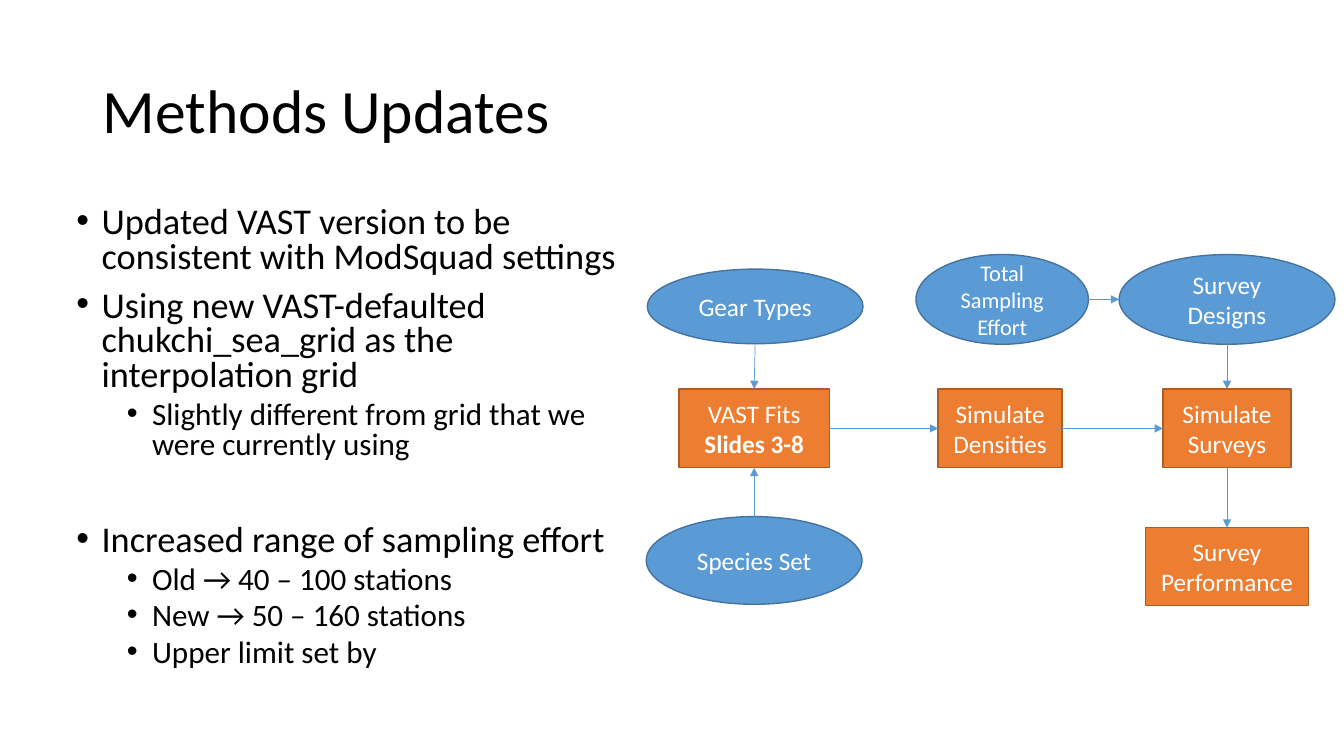
from lxml import etree
from pptx import Presentation
from pptx.dml.color import RGBColor
from pptx.enum.shapes import MSO_CONNECTOR, MSO_SHAPE
from pptx.enum.text import MSO_ANCHOR, PP_ALIGN
from pptx.oxml.ns import qn
from pptx.util import Inches, Pt

RECT, OVAL = MSO_SHAPE.RECTANGLE, MSO_SHAPE.OVAL
LINE = MSO_CONNECTOR.STRAIGHT
MIDDLE, CENTER, LEFT = MSO_ANCHOR.MIDDLE, PP_ALIGN.CENTER, PP_ALIGN.LEFT
TOP, WEST, BOTTOM, EAST = range(4)
FONT = "Calibri"
PAINT = {RECT: ("ED7D31", "AF5C24"), OVAL: ("5B9BD5", "43739E")}

POINTS = [
    (0, "Updated VAST version to be consistent with ModSquad settings", 10),
    (0, "Using new VAST-defaulted chukchi_sea_grid as the interpolation grid", 10),
    (1, "Slightly different from grid that we were currently using", 5),
    (0, "Increased range of sampling effort", 45),
    (1, "Old → 40 – 100 stations", 5),
    (1, "New → 50 – 160 stations", 5),
    (1, "Upper limit set by", 5),
]

NODES = {
    "gear": (OVAL, 1.08, 0.52, 2.14, 0.74, "Gear Types", 18),
    "species": (OVAL, 1.07, 3.04, 2.14, 0.87, "Species Set", 18),
    "effort": (OVAL, 3.53, 0.45, 1.71, 0.89, "Total Sampling Effort", 16),
    "designs": (OVAL, 5.76, 0.45, 2.14, 0.89, "Survey Designs", 18),
    "fits": (RECT, 1.07, 1.73, 1.49, 0.78, "VAST Fits\nSlides 3-8", 18),
    "density": (RECT, 3.51, 1.73, 1.23, 0.78, "Simulate Densities", 18),
    "surveys": (RECT, 5.76, 1.73, 1.27, 0.78, "Simulate Surveys", 18),
    "result": (RECT, 5.76, 3.1, 1.62, 0.77, "Survey Performance", 18),
}

LINKS = [
    ("gear", BOTTOM, "fits", TOP),
    ("species", TOP, "fits", BOTTOM),
    ("fits", EAST, "density", WEST),
    ("density", EAST, "surveys", WEST),
    ("effort", EAST, "designs", WEST),
    ("designs", BOTTOM, "surveys", TOP),
    ("surveys", BOTTOM, "result", TOP),
]


def color(code):
    return RGBColor.from_string(code)


def style(para, size, code, align=LEFT):
    para.alignment = align
    para.font.name = FONT
    para.font.size = Pt(size)
    para.font.color.rgb = color(code)


def add_box(slide, left, top, width, height):
    box = slide.shapes.add_textbox(*map(Inches, (left, top, width, height)))
    box.text_frame.word_wrap = True
    return box.text_frame


def add_title(slide, *area):
    frame = add_box(slide, *area)
    frame.vertical_anchor = MIDDLE
    para = frame.paragraphs[0]
    para.text = "Methods Updates"
    para.line_spacing = 0.9
    style(para, 44, "000000")


def add_points(slide, *area):
    frame = add_box(slide, *area)
    for i, (level, text, gap) in enumerate(POINTS):
        para = frame.add_paragraph() if i else frame.paragraphs[0]
        para.text = text
        para.level = level
        para.line_spacing = 0.8
        para.space_before = Pt(gap)
        style(para, (25.9, 22.2)[level], "000000")
        props = para._p.get_or_add_pPr()
        props.set("marL", str(Inches(0.25 + 0.5 * level)))
        props.set("indent", str(Inches(-0.25)))
        font = etree.Element(qn("a:buFont"), typeface="Arial")
        mark = etree.Element(qn("a:buChar"), char="•")
        spot = props.index(props.find(qn("a:defRPr")))
        props.insert(spot, font)
        props.insert(spot + 1, mark)


def add_node(slide, left, top, kind, x, y, width, height, text, size):
    node = slide.shapes.add_shape(
        kind, Inches(left + x - width / 2), Inches(top + y - height / 2),
        Inches(width), Inches(height))
    fill, edge = PAINT[kind]
    node.shadow.inherit = False
    node.fill.solid()
    node.fill.fore_color.rgb = color(fill)
    node.line.color.rgb = color(edge)
    node.line.width = Pt(1)
    frame = node.text_frame
    frame.word_wrap = True
    frame.vertical_anchor = MIDDLE
    frame.text = text
    for i, para in enumerate(frame.paragraphs):
        style(para, size, "FFFFFF", CENTER)
        para.font.bold = i > 0
    return node


def find_side(node, side):
    x, y = node.left + node.width // 2, node.top + node.height // 2
    return {
        TOP: (x, node.top),
        WEST: (node.left, y),
        BOTTOM: (x, node.top + node.height),
        EAST: (node.left + node.width, y),
    }[side]


def add_link(slide, start, out, end, into):
    link = slide.shapes.add_connector(
        LINE, *find_side(start, out), *find_side(end, into))
    if start.auto_shape_type == RECT:
        link.begin_connect(start, out)
    if end.auto_shape_type == RECT:
        link.end_connect(end, into)
    link.line.color.rgb = color("5B9BD5")
    link.line.width = Pt(0.5)
    etree.SubElement(link.line._get_or_add_ln(), qn("a:tailEnd"), type="triangle")
    etree.SubElement(link._element.spPr, qn("a:effectLst"))


def add_flow(slide, left, top):
    nodes = {name: add_node(slide, left, top, *node) for name, node in NODES.items()}
    for start, out, end, into in LINKS:
        add_link(slide, nodes[start], out, nodes[end], into)


def main():
    deck = Presentation()
    deck.slide_width, deck.slide_height = Inches(13.33), Inches(7.5)
    slide = deck.slides.add_slide(deck.slide_layouts[6])
    add_title(slide, 0.92, 0.4, 11.5, 1.45)
    add_points(slide, 0.66, 2, 5.67, 4.76)
    add_flow(slide, 6.41, 2.52)
    deck.save("out.pptx")


if __name__ == "__main__":
    main()
